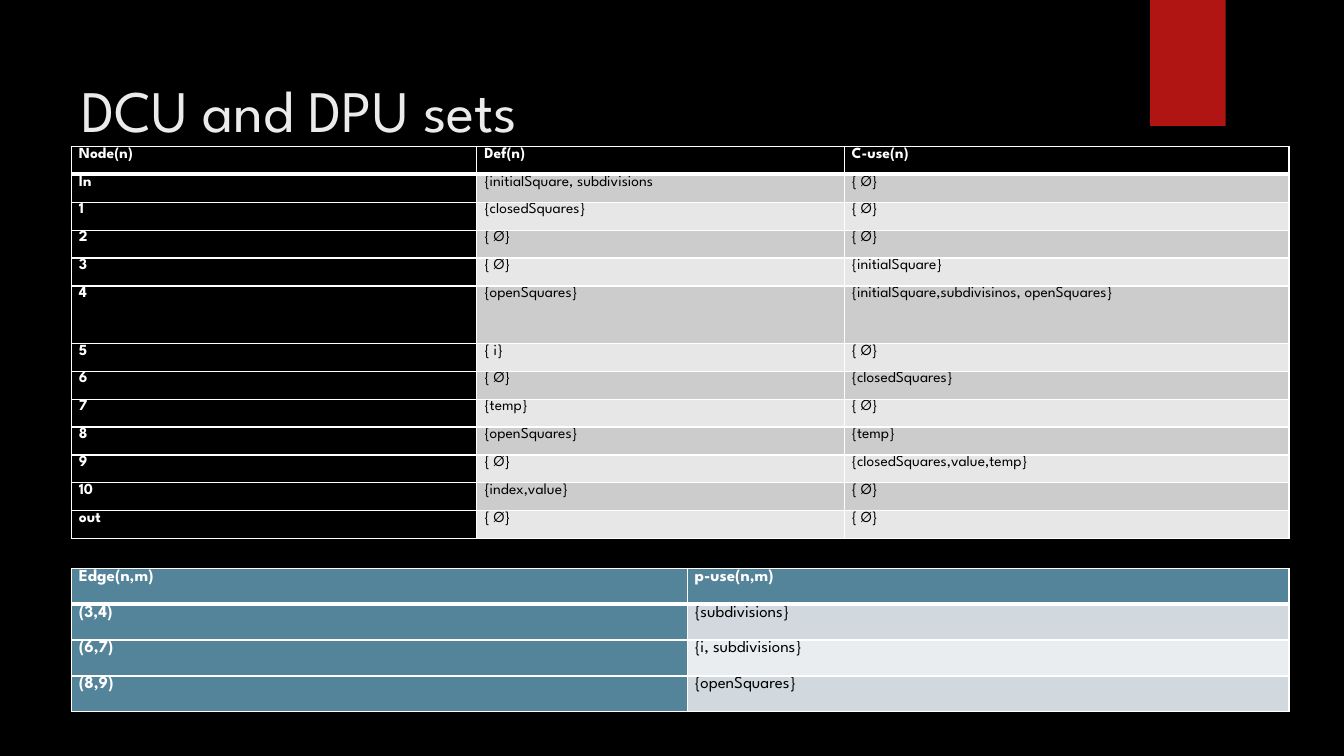
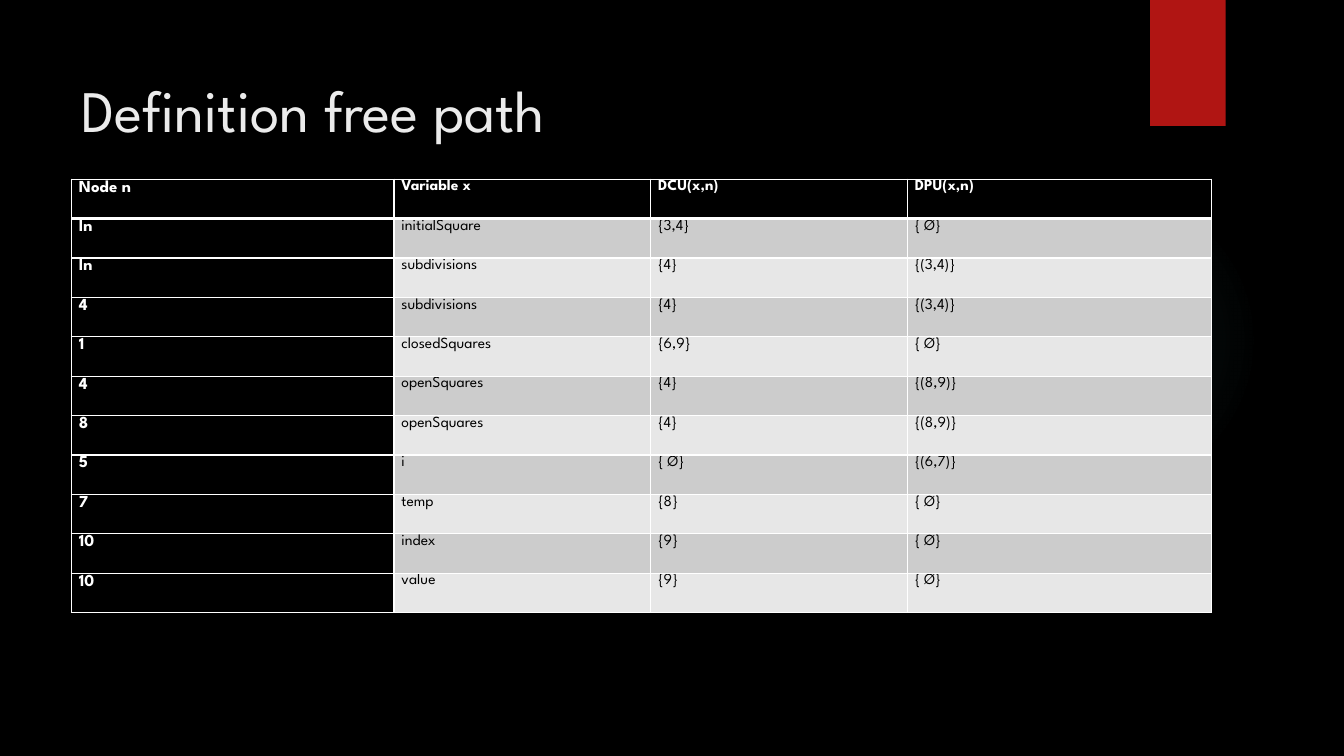
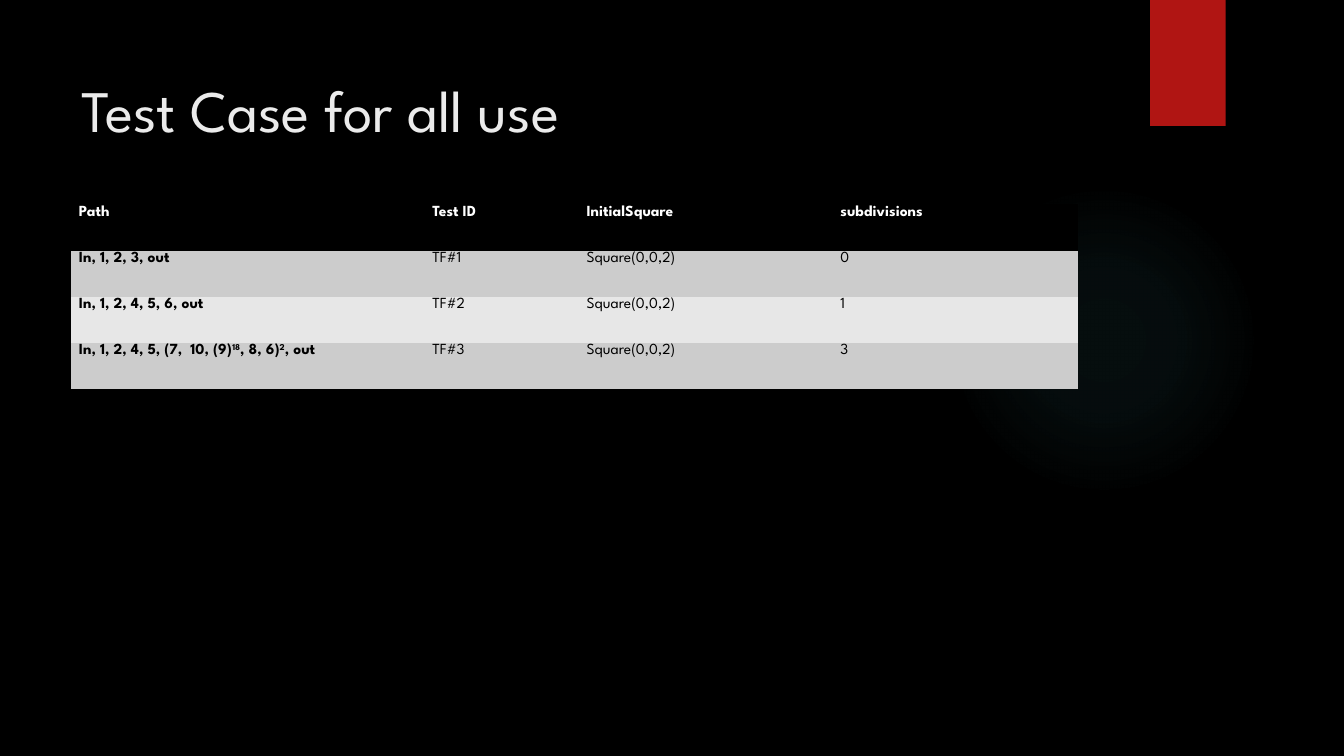
from pptx import Presentation
from pptx import util as u
from pptx.dml import color
from pptx.enum import shapes, text
from pptx.oxml import parse_xml
from pptx.oxml import ns

Pt = u.Pt
FONT = "League Spartan"
BLACK, WHITE, TITLE, RED, GLOW = "000000", "FFFFFF", "EBEBEB", "B01513", "50B9C1"
GREY_BANDS = ("CCCCCC", "E7E7E7")
BLUE, BLUE_BANDS = "54849A", ("D1D9DE", "E9EDEF")
NO_STYLE = "{2D5ABB26-0587-4C30-8999-92F81FD0307C}"
MARGIN = 51

NODES = [
    ("Node(n)", "Def(n)", "C-use(n)"),
    ("In", "{initialSquare, subdivisions", "{ Ø}"),
    ("1", "{closedSquares}", "{ Ø}"),
    ("2", "{ Ø}", "{ Ø}"),
    ("3", "{ Ø}", "{initialSquare}"),
    ("4", "{openSquares}", "{initialSquare,subdivisinos, openSquares}"),
    ("5", "{ i}", "{ Ø}"),
    ("6", "{ Ø}", "{closedSquares}"),
    ("7", "{temp}", "{ Ø}"),
    ("8", "{openSquares}", "{temp}"),
    ("9", "{ Ø}", "{closedSquares,value,temp}"),
    ("10", "{index,value}", "{ Ø}"),
    ("out", "{ Ø}", "{ Ø}"),
]
EDGES = [
    ("Edge(n,m)", "p-use(n,m)"),
    ("(3,4)", "{subdivisions}"),
    ("(6,7)", "{i, subdivisions}"),
    ("(8,9)", "{openSquares}"),
]
FREE_PATHS = [
    ("Node n", "Variable x", "DCU(x,n)", "DPU(x,n)"),
    ("In", "initialSquare", "{3,4}", "{ Ø}"),
    ("In", "subdivisions", "{4}", "{(3,4)}"),
    ("4", "subdivisions", "{4}", "{(3,4)}"),
    ("1", "closedSquares", "{6,9}", "{ Ø}"),
    ("4", "openSquares", "{4}", "{(8,9)}"),
    ("8", "openSquares", "{4}", "{(8,9)}"),
    ("5", "i", "{ Ø}", "{(6,7)}"),
    ("7", "temp", "{8}", "{ Ø}"),
    ("10", "index", "{9}", "{ Ø}"),
    ("10", "value", "{9}", "{ Ø}"),
]
TEST_CASES = [
    ("Path", "Test ID", "InitialSquare", "subdivisions"),
    ("In, 1, 2, 3, out", "TF#1", "Square(0,0,2)", "0"),
    ("In, 1, 2, 4, 5, 6, out", "TF#2", "Square(0,0,2)", "1"),
    ("In, 1, 2, 4, 5, (7,  10, (9)^18^, 8, 6)^2^, out", "TF#3", "Square(0,0,2)", "3"),
]

SLIDES = [
    ("DCU and DPU sets", 69, [
        dict(rows=NODES, top=104.6, widths=(289.6, 262.4, 317.8), height=19.93, tall={5: 41}),
        dict(rows=EDGES, top=406, widths=(439.8, 430), height=25.6, size=12, key_size=12,
             head=BLUE, key=BLUE, bands=BLUE_BANDS),
    ]),
    ("Definition free path", 63, [
        dict(rows=FREE_PATHS, top=128, widths=(230.4, 183.4, 183.4, 217.4), height=28.15,
             key_size=12),
    ]),
    ("Test Case for all use", 110, [
        dict(rows=TEST_CASES, top=146, widths=(252.4, 110.2, 181.4, 175.2), height=33.05,
             key=None, grid=False),
    ]),
]


def rgb(value):
    return color.RGBColor.from_string(value)


def paint(item, value):
    item.fill.solid()
    item.fill.fore_color.rgb = rgb(value)


def write(frame, words, size=11, ink=BLACK, bold=False, spacing=None):
    line = frame.paragraphs[0]
    line.alignment = text.PP_ALIGN.LEFT
    if spacing:
        line.line_spacing = spacing
    for i, part in enumerate(words.split("^")):
        run = line.add_run()
        run.text = part
        run.font.name, run.font.size, run.font.bold = FONT, Pt(size), bold
        run.font.color.rgb = rgb(ink)
        if i % 2:
            run.font._element.set("baseline", "30000")


def add_borders(cell, row):
    weights = dict(L=1, R=1, T=3 if row == 1 else 1, B=3 if row == 0 else 1)
    props = cell._tc.get_or_add_tcPr()
    for i, (side, weight) in enumerate(weights.items()):
        props.insert(i, parse_xml(
            f'<a:ln{side} {ns.nsdecls("a")} w="{Pt(weight)}"><a:solidFill>'
            f'<a:srgbClr val="{WHITE}"/></a:solidFill></a:ln{side}>'))


def add_grid(slide, rows, top, widths, height, tall={}, size=11, key_size=11,
             head=BLACK, key=BLACK, bands=GREY_BANDS, grid=True):
    heights = [tall.get(r, height) for r in range(len(rows))]
    table = slide.shapes.add_table(len(rows), len(widths), Pt(MARGIN), Pt(top),
                                   Pt(sum(widths)), Pt(sum(heights))).table
    table.first_row = table.horz_banding = False
    table._tbl.tblPr.find(ns.qn("a:tableStyleId")).text = NO_STYLE
    for column, width in zip(table.columns, widths):
        column.width = Pt(width)
    for r, values in enumerate(rows):
        table.rows[r].height = Pt(heights[r])
        for c, words in enumerate(values):
            cell = table.cell(r, c)
            cell.margin_left = cell.margin_right = Pt(5.4)
            cell.margin_top = cell.margin_bottom = 0
            band = bands[(r - 1) % 2]
            fill = head if r == 0 else (key or band) if c == 0 else band
            paint(cell, fill)
            write(cell.text_frame, words, size=key_size if c == 0 else size,
                  ink=BLACK if fill in bands else WHITE, bold=r == 0 or c == 0, spacing=1.07)
            if grid:
                add_borders(cell, r)


def add_decor(slide):
    glow = slide.shapes.add_shape(shapes.MSO_SHAPE.OVAL, Pt(677.5), Pt(131.8), Pt(221.8), Pt(221.8))
    ribbon = slide.shapes.add_shape(shapes.MSO_SHAPE.RECTANGLE, Pt(821.5), 0, Pt(54), Pt(90))
    for part in (glow, ribbon):
        part.shadow.inherit = False
        part.line.fill.background()
    paint(ribbon, RED)
    paint(glow, GLOW)
    stops = "".join(
        f'<a:gs pos="{at * 1000}"><a:srgbClr val="{GLOW}"><a:alpha val="{alpha * 1000}"/></a:srgbClr></a:gs>'
        for at, alpha in ((0, 7), (36, 6), (69, 0), (100, 0)))
    props = glow._element.spPr
    props.replace(props.find(ns.qn("a:solidFill")), parse_xml(
        f'<a:gradFill {ns.nsdecls("a")}><a:gsLst>{stops}</a:gsLst><a:path path="circle">'
        '<a:fillToRect l="50000" t="50000" r="50000" b="50000"/></a:path></a:gradFill>'))


def add_title(slide, words, height):
    title = slide.shapes.title
    title.left, title.top, title.width, title.height = Pt(MARGIN), Pt(36), Pt(741), Pt(height)
    frame = title.text_frame
    frame.auto_size = text.MSO_AUTO_SIZE.NONE
    frame.word_wrap = True
    frame.vertical_anchor = text.MSO_ANCHOR.TOP
    frame.margin_top = Pt(16.6)
    write(frame, words, size=42, ink=TITLE)


def main():
    deck = Presentation()
    deck.slide_width, deck.slide_height = Pt(960), Pt(540)
    paint(deck.slide_master.background, BLACK)
    for heading, height, tables in SLIDES:
        slide = deck.slides.add_slide(deck.slide_layouts[5])
        add_decor(slide)
        add_title(slide, heading, height)
        for table in tables:
            add_grid(slide, **table)
    deck.save("out.pptx")


if __name__ == "__main__":
    main()
